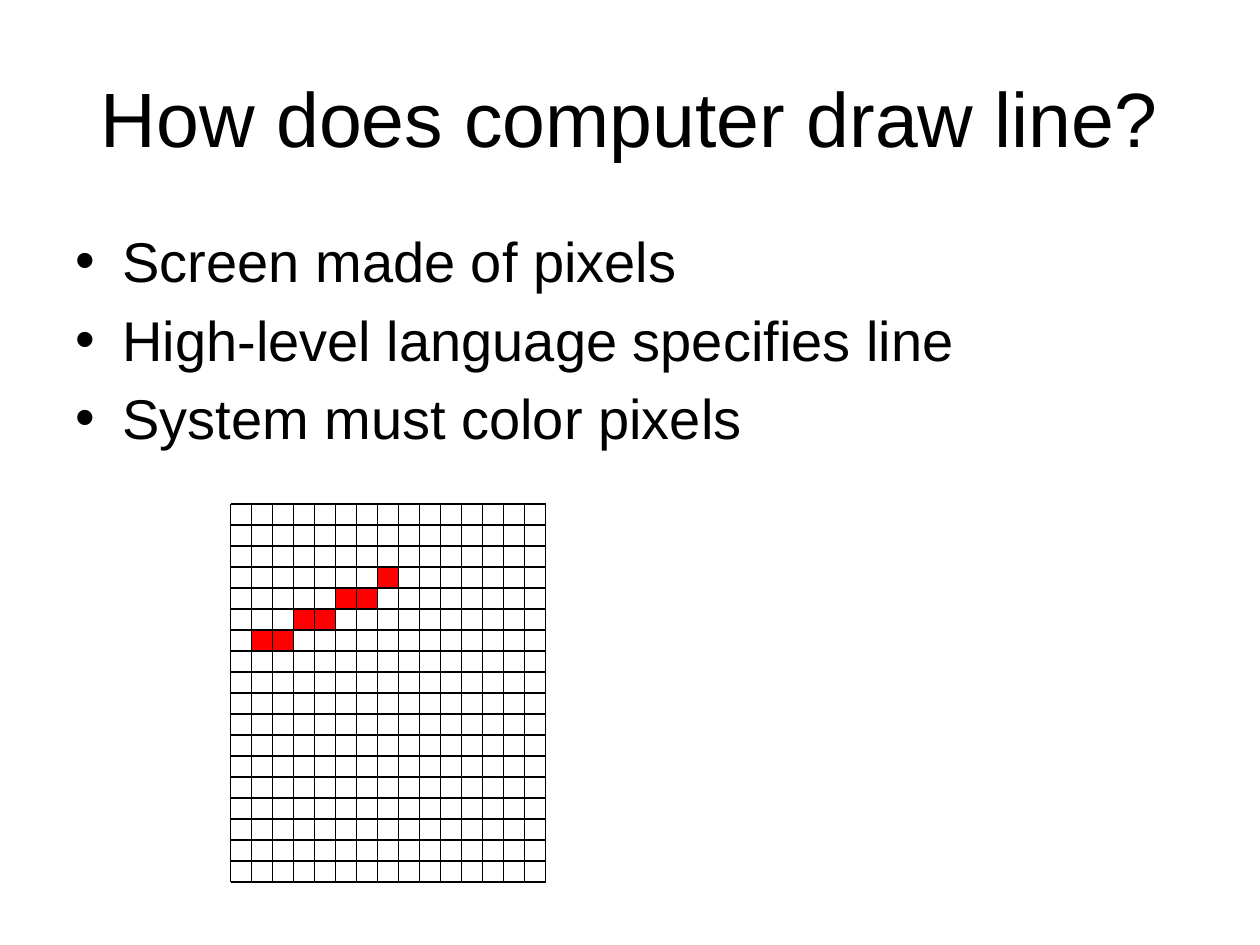
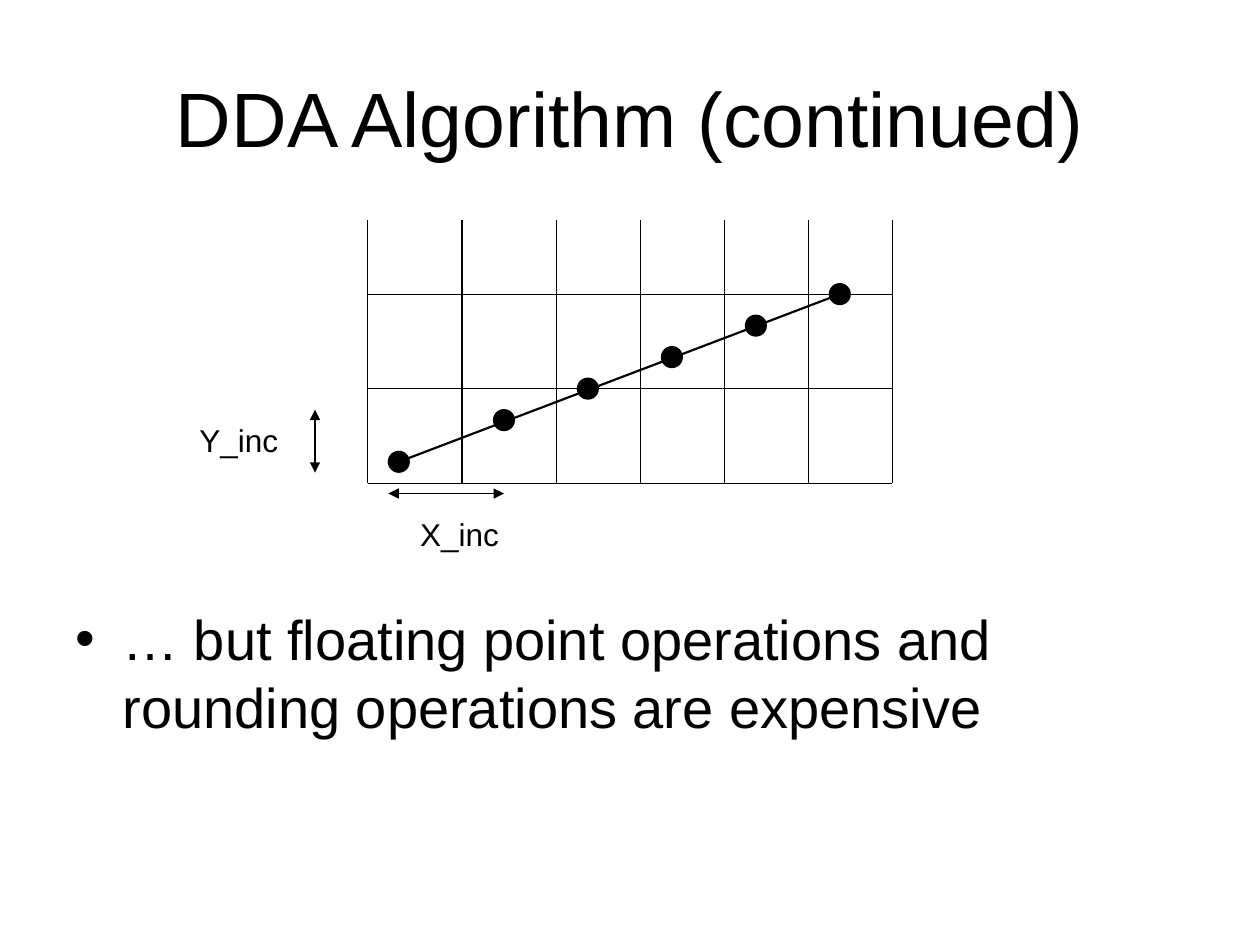
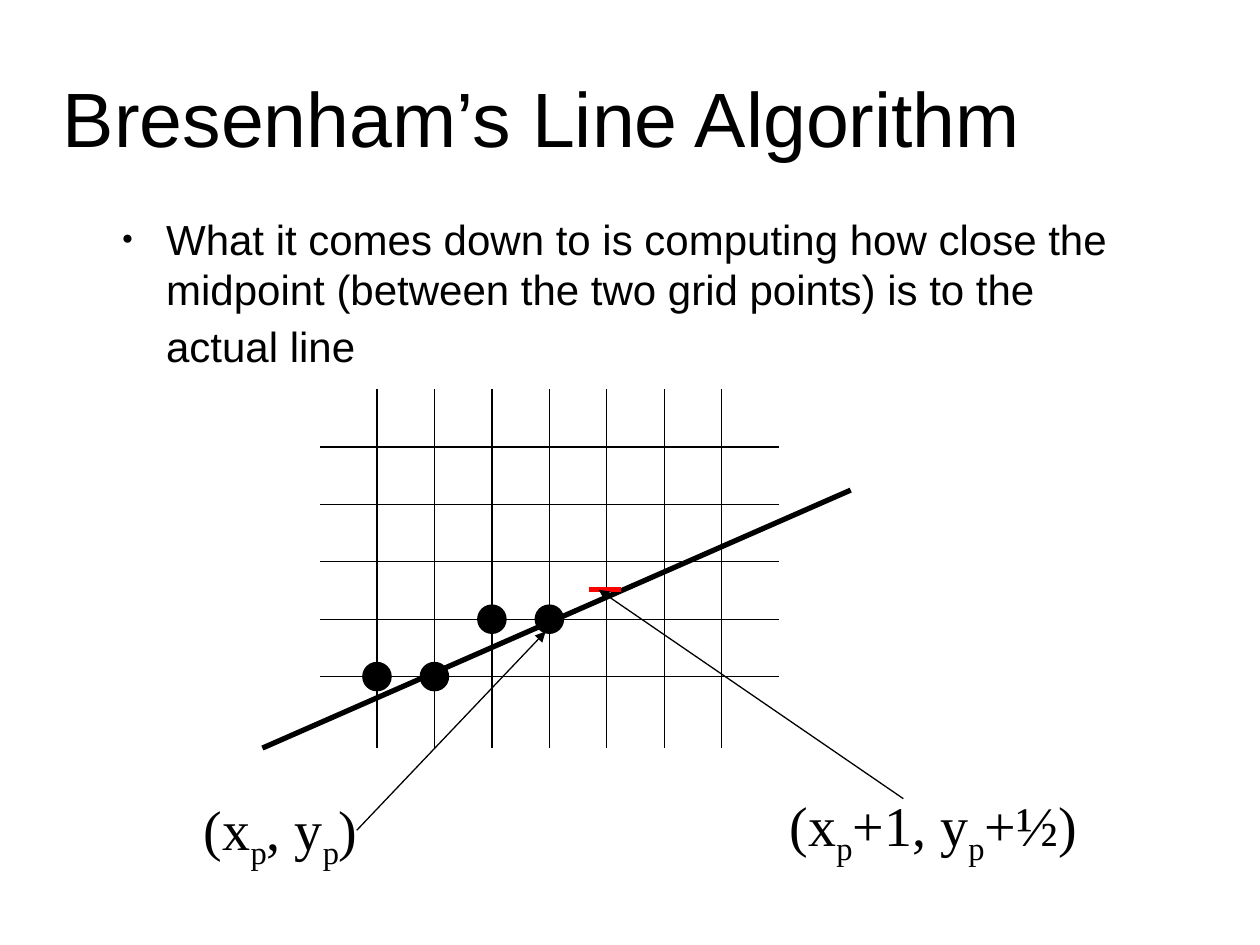
from typing import NamedTuple, Sequence

from lxml.etree import SubElement
from pptx import Presentation
from pptx.dml.color import RGBColor
from pptx.enum.shapes import MSO_CONNECTOR as Connector, MSO_SHAPE as Preset
from pptx.enum.text import MSO_ANCHOR as Anchor, PP_ALIGN as Align
from pptx.oxml.ns import qn
from pptx.util import Cm, Pt

COLORS = {"ink": "000000", "mark": "FF0000"}
SANS, SERIF = "Arial", "Times New Roman"
THIN = 0.75


class Point(NamedTuple):
    x: float
    y: float


class Box(NamedTuple):
    left: float
    top: float
    width: float
    height: float


class Run(NamedTuple):
    text: str
    size: float | None = None
    baseline: int = 0


class Bullet(NamedTuple):
    char: str
    margin: float
    indent: float
    percent: int = 100


TITLE_BOX = Box(1.27, 0.76, 22.86, 3.18)
DOT = Bullet("•", 0.95, -0.94)
SMALL_DOT = Bullet("●", 1.19, -0.89, 45)


def color(name: str) -> RGBColor:
    return RGBColor.from_string(COLORS[name])


def spread(first: float, last: float, count: int) -> list[float]:
    step = (last - first) / (count - 1)
    return [first + step * index for index in range(count)]


def add_bullet(paragraph, bullet: Bullet) -> None:
    properties = paragraph._p.get_or_add_pPr()
    properties.set("marL", str(Cm(bullet.margin)))
    properties.set("indent", str(Cm(bullet.indent)))
    bullet_color = SubElement(properties, qn("a:buClr"))
    SubElement(bullet_color, qn("a:srgbClr"), val=COLORS["ink"])
    SubElement(properties, qn("a:buSzPct"), val=str(bullet.percent * 1000))
    SubElement(properties, qn("a:buFont"), typeface=SANS)
    SubElement(properties, qn("a:buChar"), char=bullet.char)


def add_outline(slide, box: Box):
    left, top, width, height = map(Cm, box)
    right, bottom = left + width, top + height
    builder = slide.shapes.build_freeform(left, top)
    builder.add_line_segments([(right, top), (right, bottom), (left, bottom)])
    shape = builder.convert_to_shape()
    shape.shadow.inherit = False
    shape.fill.background()
    shape.line.fill.background()
    return shape


def add_text(slide, box: Box, paragraphs: Sequence[Sequence[Run]], *, size: float,
             font: str = SANS, align: Align = Align.LEFT, anchor: Anchor = Anchor.TOP,
             wrap: bool = True, inset: bool = True, bullet: Bullet | None = None,
             space_before: float = 0, freeform: bool = False) -> None:
    shape = add_outline(slide, box) if freeform else slide.shapes.add_textbox(*map(Cm, box))
    frame = shape.text_frame
    frame.word_wrap = wrap
    frame.vertical_anchor = anchor
    if not inset:
        frame.margin_left = frame.margin_right = frame.margin_top = frame.margin_bottom = 0
    for index, runs in enumerate(paragraphs):
        paragraph = frame.add_paragraph() if index else frame.paragraphs[0]
        if bullet:
            add_bullet(paragraph, bullet)
        paragraph.alignment = align
        if index:
            paragraph.space_before = Pt(space_before)
        for part in runs:
            run = paragraph.add_run()
            run.text = part.text
            run.font.name = font
            run.font.size = Pt(part.size or size)
            run.font.color.rgb = color("ink")
            if part.baseline:
                run._r.get_or_add_rPr().set("baseline", str(part.baseline * 1000))


def add_title(slide, text: str, *, align: Align = Align.CENTER, inset: bool = True) -> None:
    add_text(slide, TITLE_BOX, [[Run(text)]], size=44, align=align,
             anchor=Anchor.MIDDLE, inset=inset)


def add_bullets(slide, box: Box, lines: Sequence[str]) -> None:
    add_text(slide, box, [[Run(line)] for line in lines], size=32, bullet=DOT, space_before=6.4)


def add_line(slide, start: Point, end: Point, *, width: float = THIN, ink: str = "ink",
             head: bool = False, tail: bool = False) -> None:
    line = slide.shapes.add_connector(Connector.STRAIGHT, *map(Cm, (*start, *end)))
    line.line.color.rgb = color(ink)
    line.line.width = Pt(width)
    outline = line.line._get_or_add_ln()
    SubElement(outline, qn("a:round"))
    for shown, tag in ((head, "a:headEnd"), (tail, "a:tailEnd")):
        if shown:
            SubElement(outline, qn(tag), type="triangle")
    SubElement(line._element.spPr, qn("a:effectLst"))


def add_grid(slide, columns: Sequence[float], rows: Sequence[float],
             across: tuple[float, float], down: tuple[float, float]) -> None:
    for x in columns:
        add_line(slide, Point(x, down[0]), Point(x, down[1]))
    for y in rows:
        add_line(slide, Point(across[0], y), Point(across[1], y))


def add_mark(slide, preset: Preset, center: Point, size: float, fill: str = "ink") -> None:
    corner = (center.x - size / 2, center.y - size / 2)
    shape = slide.shapes.add_shape(preset, *map(Cm, (*corner, size, size)))
    shape.shadow.inherit = False
    shape.fill.solid()
    shape.fill.fore_color.rgb = color(fill)
    shape.line.color.rgb = color("ink")
    shape.line.width = Pt(THIN)


def build_pixels(slide) -> None:
    add_title(slide, "How does computer draw line?")
    add_bullets(slide, Box(1.27, 4.45, 22.86, 5.49), [
        "Screen made of pixels", "High-level language specifies line",
        "System must color pixels"])
    columns = spread(4.65, 11, 16)
    rows = spread(10.16, 17.78, 19)
    add_grid(slide, columns, rows, (columns[0], columns[-1]), (rows[0], rows[-1]))
    for column in range(1, 8):
        row = 6 - (column - 1) // 2
        center = Point(columns[column] + 0.21, rows[row] + 0.21)
        add_mark(slide, Preset.RECTANGLE, center, 0.42, "mark")


def build_dda(slide) -> None:
    add_title(slide, "DDA Algorithm (continued)")
    add_bullets(slide, Box(1.27, 12.07, 22.86, 3.58), [
        "… but floating point operations and rounding operations are expensive"])
    samples = [Point(8.04, 9.31)]
    samples += map(Point, spread(10.16, 16.93, 5), spread(8.47, 5.93, 5))
    add_line(slide, samples[0], samples[-1], width=1.25)
    for sample in samples:
        add_mark(slide, Preset.OVAL, sample, 0.42)
    for start, end in ((Point(6.35, 9.53), Point(6.35, 8.26)),
                       (Point(10.16, 9.95), Point(7.83, 9.95))):
        add_line(slide, start, end, width=1, head=True, tail=True)
    for label, left, top in (("Y_inc", 3.77, 8.36), ("X_inc", 8.22, 10.26)):
        add_text(slide, Box(left, top, 2.14, 1.02), [[Run(label)]], size=18, wrap=False)
    columns = spread(7.41, 11.22, 3) + spread(12.91, 17.99, 4)
    add_grid(slide, columns, spread(9.74, 5.93, 3), (columns[0], columns[-1]), (4.44, 9.74))


def build_bresenham(slide) -> None:
    add_title(slide, "Bresenham’s Line Algorithm", align=Align.LEFT, inset=False)
    add_text(slide, Box(1.91, 4.17, 21.59, 11), [[
        Run("What it comes down to is computing how close the midpoint "
            "(between the two grid points) is to the actual line"),
        Run(" ", size=28)]], size=24, bullet=SMALL_DOT)
    columns = spread(7.6, 14.55, 7)
    rows = spread(9.01, 13.64, 5)
    add_grid(slide, columns, rows, (6.45, 15.7), (7.85, 15.08))
    add_line(slide, Point(5.29, 15.08), Point(17.15, 9.88), width=3)
    for column, row in ((0, 4), (1, 4), (2, 3), (3, 3)):
        add_mark(slide, Preset.OVAL, Point(columns[column], rows[row]), 0.57)
    add_line(slide, Point(11.88, 11.89), Point(12.52, 11.89), width=3, ink="mark")
    subscript = Run("p", baseline=-25)
    current = [Run("(x"), subscript, Run(", y"), subscript, Run(")")]
    midpoint = [Run("(x"), subscript, Run("+1, y"), subscript, Run("+½)")]
    for box, runs, wrap in ((Box(3.86, 15.9, 3.61, 1.8), current, False),
                            (Box(15.67, 15.82, 6.96, 1.8), midpoint, True)):
        add_text(slide, box, [runs], size=32, font=SERIF, wrap=wrap, freeform=True)
    add_line(slide, Point(7.19, 16.74), Point(11, 12.73), tail=True)
    add_line(slide, Point(18.21, 16.1), Point(12.07, 11.89), tail=True)


def main() -> None:
    presentation = Presentation()
    presentation.slide_width = Cm(25.4)
    presentation.slide_height = Cm(19.05)
    for build in (build_pixels, build_dda, build_bresenham):
        build(presentation.slides.add_slide(presentation.slide_layouts[6]))
    presentation.save("out.pptx")


if __name__ == "__main__":
    main()
